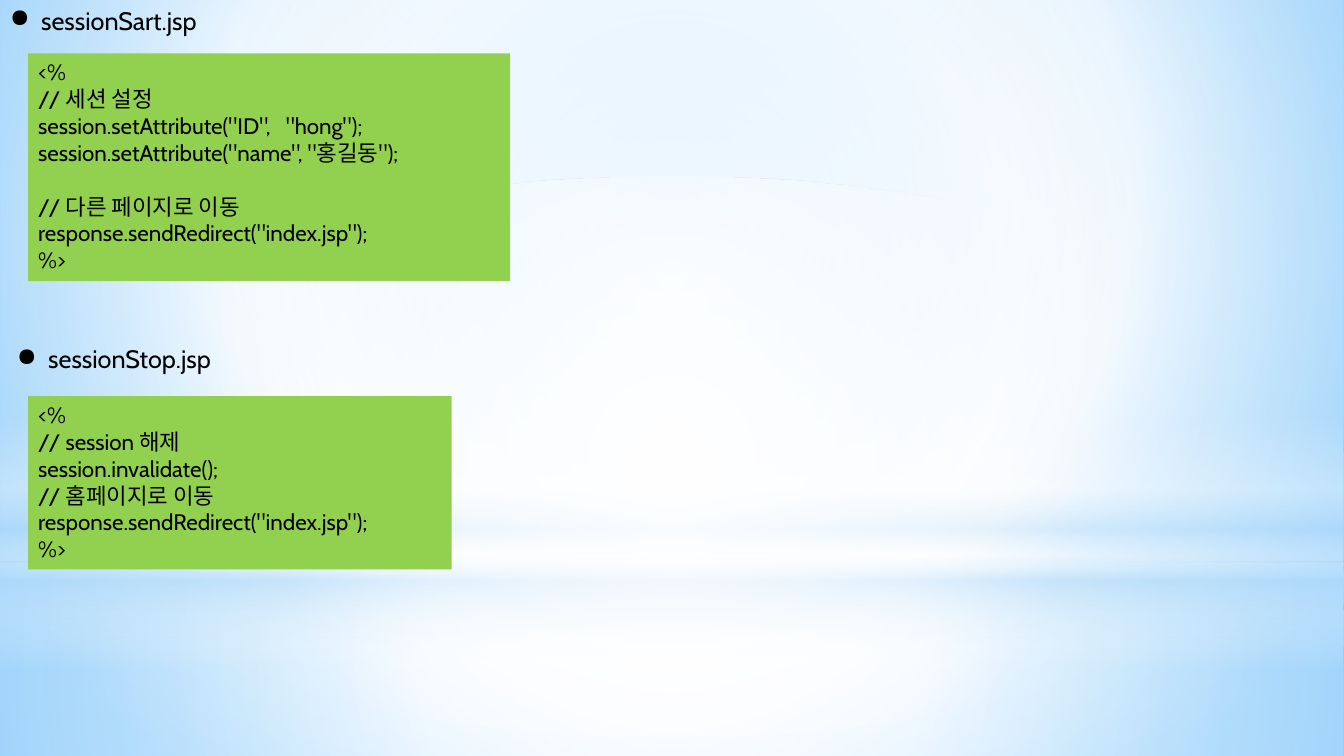
import pptx
import pptx.dml.color
import pptx.enum.shapes
import pptx.enum.text
import pptx.oxml
import pptx.oxml.ns
import pptx.util

Inches = pptx.util.Inches
Pt = pptx.util.Pt
RECT = pptx.enum.shapes.MSO_SHAPE.RECTANGLE
OVAL = pptx.enum.shapes.MSO_SHAPE.OVAL

THEME = {
    "font": "Cabin",
    "heading": Pt(18),
    "code": Pt(16),
    "code_gap": Pt(19.2),
    "ink": pptx.dml.color.RGBColor.from_string("000000"),
    "panel": pptx.dml.color.RGBColor.from_string("92D050"),
    "white": "FFFFFF",
    "haze": "B4DCFA",
    "sky": "9ED5FF",
    "deep_sky": "5BB9FF",
}
WHITE, HAZE = THEME["white"], THEME["haze"]
CENTRE = (50, 50, 50, 50)


def paint_gradient(owner, stops, focus=None):
    """Fill with (position, colour, opacity) stops, radial when a focus is given."""
    stop_xml = "".join(
        f'<a:gs pos="{pos * 1000}"><a:srgbClr val="{colour}">'
        f'<a:alpha val="{opacity * 1000}"/></a:srgbClr></a:gs>'
        for pos, colour, opacity in stops
    )
    if focus:
        left, top, right, bottom = (edge * 1000 for edge in focus)
        direction = (f'<a:path path="circle"><a:fillToRect l="{left}" t="{top}" '
                     f'r="{right}" b="{bottom}"/></a:path>')
    else:
        direction = '<a:lin ang="5400000" scaled="0"/>'
    owner.fill.gradient()
    grad = owner.fill._fill._gradFill
    grad.getparent().replace(grad, pptx.oxml.parse_xml(
        f'<a:gradFill {pptx.oxml.ns.nsdecls("a")} rotWithShape="1">'
        f'<a:gsLst>{stop_xml}</a:gsLst>{direction}</a:gradFill>'))


def style_text(paragraph, size):
    for run in paragraph.runs:
        run.font.name = THEME["font"]
        run.font.size = size
        run.font.color.rgb = THEME["ink"]


deck = pptx.Presentation()
deck.slide_width, deck.slide_height = Inches(13.33), Inches(7.5)
slide = deck.slides.add_slide(deck.slide_layouts[6])

# Sky background
paint_gradient(slide.background,
               [(0, THEME["sky"], 100), (60, WHITE, 100), (100, THEME["deep_sky"], 100)],
               (20, 10, 20, 60))

# Light layers over the sky: floor, wall, horizon, glow
layers = [
    (RECT, 5.58, 1.92, [(0, WHITE, 91), (37, WHITE, 76), (100, HAZE, 79)], CENTRE),
    (RECT, 0, 5.58, [(0, WHITE, 89), (48, WHITE, 62), (100, HAZE, 79)], CENTRE),
    (RECT, 4.12, 2.5, [(0, WHITE, 0), (29, WHITE, 30), (45, HAZE, 40),
                       (55, WHITE, 26), (65, HAZE, 60), (100, WHITE, 0)], None),
    (OVAL, 1.75, 5.58, [(0, WHITE, 100), (56, WHITE, 0)], CENTRE),
]
for outline, top, height, stops, focus in layers:
    layer = slide.shapes.add_shape(outline, 0, Inches(top), deck.slide_width, Inches(height))
    layer.shadow.inherit = False
    layer.line.fill.background()
    paint_gradient(layer, stops, focus)

# Each file: name, name position and width, code position and size, blocks of code
files = [
    ("sessionSart.jsp", (0, 0, 2.19), (0.53, 4.78, 2.26), [
        ["<%", "// 세션 설정", 'session.setAttribute("ID",   "hong");',
         'session.setAttribute("name", "홍길동");'],
        ["// 다른 페이지로 이동", 'response.sendRedirect("index.jsp");', "%>"],
    ]),
    ("sessionStop.jsp", (0.07, 3.36, 2.23), (3.93, 4.2, 1.72), [
        ["<%", "// session 해제", "session.invalidate();", "// 홈페이지로 이동",
         'response.sendRedirect("index.jsp");', "%>"],
    ]),
]
for file_name, (left, top, width), (code_top, code_width, code_height), blocks in files:
    # Bulleted file name
    heading = slide.shapes.add_textbox(Inches(left), Inches(top), Inches(width), Inches(0.4))
    heading.text_frame.word_wrap = False
    heading.text_frame.text = file_name
    title = heading.text_frame.paragraphs[0]
    bullet_props = title._p.get_or_add_pPr()
    bullet_props.set("marL", str(Inches(0.31)))
    bullet_props.set("indent", str(-Inches(0.31)))
    bullet_props.append(pptx.oxml.parse_xml(
        f'<a:buChar {pptx.oxml.ns.nsdecls("a")} char="●"/>'))
    style_text(title, THEME["heading"])

    # Code panel
    panel = slide.shapes.add_shape(RECT, Inches(0.28), Inches(code_top),
                                   Inches(code_width), Inches(code_height))
    panel.shadow.inherit = False
    panel.fill.solid()
    panel.fill.fore_color.rgb = THEME["panel"]
    panel.line.fill.background()
    code = panel.text_frame
    code.word_wrap = True
    code.vertical_anchor = pptx.enum.text.MSO_ANCHOR.TOP
    code.text = "\n".join(line for block in blocks for line in block)
    for paragraph in code.paragraphs:
        paragraph.alignment = pptx.enum.text.PP_ALIGN.LEFT
        style_text(paragraph, THEME["code"])

    # One empty line's height before every later block
    start = 0
    for block in blocks[:-1]:
        start += len(block)
        code.paragraphs[start].space_before = THEME["code_gap"]

deck.save("out.pptx")
